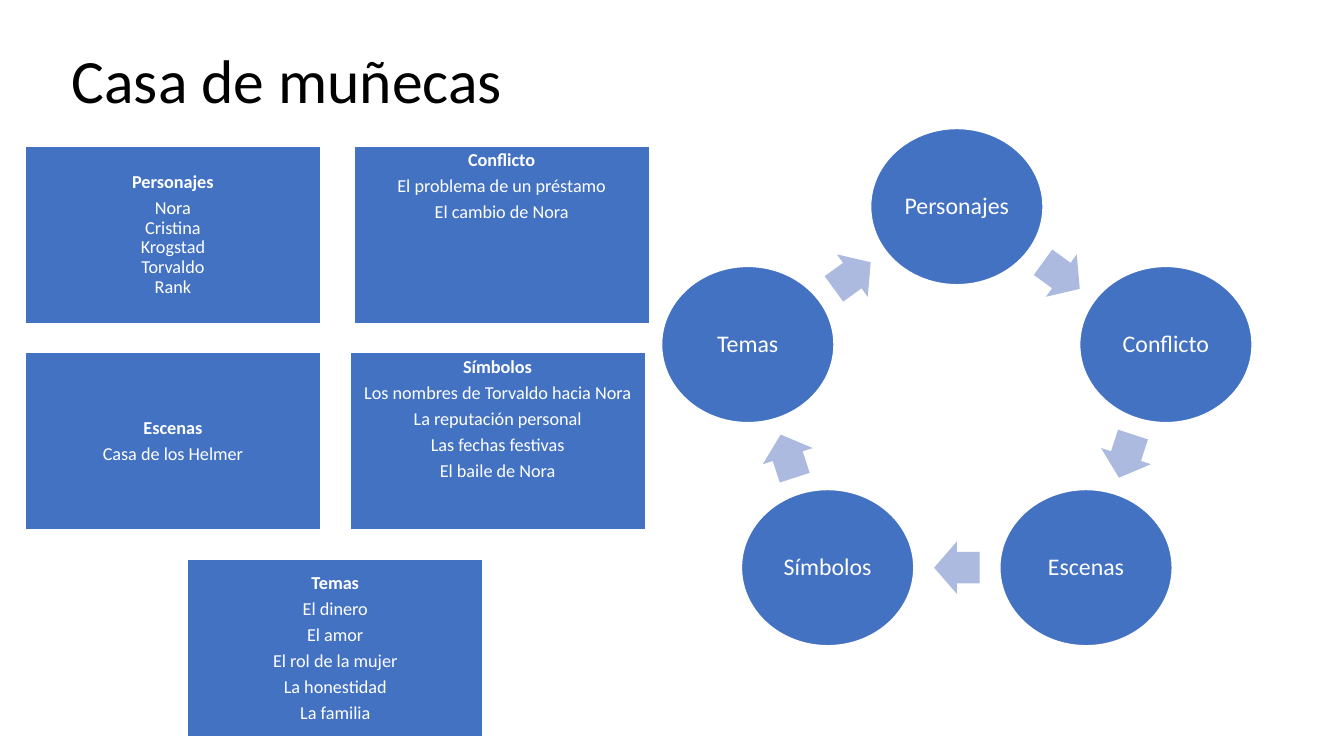
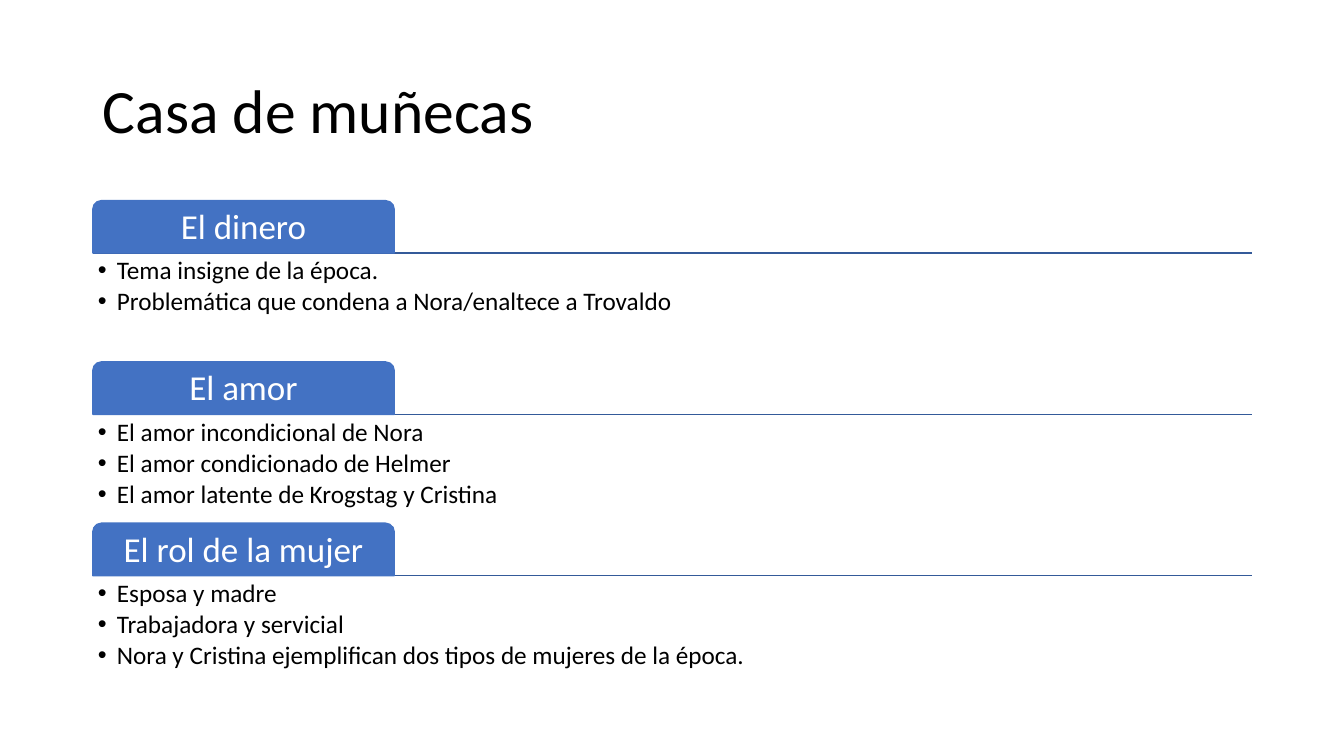
from copy import deepcopy
from math import cos, radians, sin

from lxml import etree
from pptx import Presentation
from pptx.dml.color import RGBColor
from pptx.enum import shapes, text
from pptx.oxml.ns import qn
from pptx.util import Inches, Pt

HUES = {"blue": "4372C3", "pale": "ABBADE", "rule": "345A99",
        "white": "FFFFFF", "black": "000000"}
HUES = {name: RGBColor.from_string(code) for name, code in HUES.items()}
KIND = shapes.MSO_SHAPE
MID, TOP = text.MSO_ANCHOR.MIDDLE, text.MSO_ANCHOR.TOP
LEFT, MIDST = text.PP_ALIGN.LEFT, text.PP_ALIGN.CENTER


def write(shape, lines, size, hue="white", align=MIDST, anchor=MID,
          inset=0.05, gap=0, head=False):
    """Fill a shape with one paragraph per line; head makes the first bold."""
    frame = shape.text_frame
    form = {"word_wrap": True, "auto_size": text.MSO_AUTO_SIZE.NONE,
            "vertical_anchor": anchor}
    for side in ("left", "top", "right", "bottom"):
        form["margin_" + side] = Inches(inset)
    for key, value in form.items():
        setattr(frame, key, value)
    for i, line in enumerate(lines):
        para = frame.add_paragraph() if i else frame.paragraphs[0]
        para.text = line
        para.alignment, para.line_spacing = align, 0.9
        para.space_before = Pt(gap if i else 0)
        for run in para.runs:
            font = run.font
            font.name, font.size = "Calibri", Pt(size)
            font.bold = head and i == 0
            font.color.rgb = HUES[hue]
        for rest in para._p.findall(qn("a:br")):
            rest.append(deepcopy(para.runs[0]._r.rPr))


def draw(slide, kind, left, top, width, height, fill="blue", line="white"):
    shape = slide.shapes.add_shape(kind, Inches(left), Inches(top),
                                   Inches(width), Inches(height))
    shape.shadow.inherit = False
    shape.fill.solid()
    shape.fill.fore_color.rgb = HUES[fill]
    if line:
        shape.line.color.rgb = HUES[line]
        shape.line.width = Pt(1)
    else:
        shape.line.fill.background()
    return shape


deck = Presentation()
deck.slide_width, deck.slide_height = Inches(13.33), Inches(7.5)
pages = []
for left, top in ((0.61, 0.1), (0.92, 0.4)):
    page = deck.slides.add_slide(deck.slide_layouts[5])
    title = page.shapes.title
    place = {"left": left, "top": top, "width": 11.5, "height": 1.45}
    for key, value in place.items():
        setattr(title, key, Inches(value))
    write(title, ["Casa de muñecas"], 44, "black", LEFT, inset=0.1)
    pages.append(page)
play, themes = pages

# Cycle of five elements, clockwise from the top
steps = ["Personajes", "Conflicto", "Escenas", "Símbolos", "Temas"]
turn = 360 / len(steps)
wide, high = 1.71, 1.55
spots = [(9.49 + 2.18 * sin(radians(turn * i)),
          4.03 - 1.98 * cos(radians(turn * i))) for i in range(len(steps))]
for i, (step, (x, y)) in enumerate(zip(steps, spots)):
    disc = draw(play, KIND.OVAL, x - wide / 2, y - high / 2, wide, high)
    write(disc, [step], 17, inset=0)
    nextx, nexty = spots[(i + 1) % len(spots)]
    arrow = draw(play, KIND.RIGHT_ARROW, (x + nextx - 0.45) / 2,
                 (y + nexty - 0.52) / 2, 0.45, 0.52, "pale", None)
    arrow.adjustments[0] = 0.6
    arrow.rotation = turn * (i + 0.5)

# Detail boxes: left, row, anchor, lines
boxes = [
    (0.25, 0, MID, ["Personajes", "Nora\nCristina\nKrogstad\nTorvaldo\nRank"]),
    (3.51, 0, TOP, ["Conflicto", "El problema de un préstamo",
                    "El cambio de Nora"]),
    (0.25, 1, MID, ["Escenas", "Casa de los Helmer"]),
    (3.47, 1, TOP, ["Símbolos", "Los nombres de Torvaldo hacia Nora",
                    "La reputación personal", "Las fechas festivas",
                    "El baile de Nora"]),
    (1.86, 2, MID, ["Temas", "El dinero", "El amor", "El rol de la mujer",
                    "La honestidad", "La familia"]),
]
for left, row, anchor, lines in boxes:
    box = draw(play, KIND.RECTANGLE, left, 1.45 + 2.05 * row, 2.93, 1.76)
    write(box, lines, 13, anchor=anchor, gap=4.5, head=True)

# Tabbed list of themes
topics = {
    "El dinero": ["Tema insigne de la época.",
                  "Problemática que condena a Nora/enaltece a Trovaldo"],
    "El amor": ["El amor incondicional de Nora",
                "El amor condicionado de Helmer",
                "El amor latente de Krogstag y Cristina"],
    "El rol de la mujer": [
        "Esposa y madre", "Trabajadora y servicial",
        "Nora y Cristina ejemplifican dos tipos de mujeres de la época."],
}
left, width, tall = 0.92, 11.5, 0.52
for i, (topic, points) in enumerate(topics.items()):
    top = 1.99 + 1.6 * i
    base = Inches(top + tall)
    rule = themes.shapes.add_connector(
        shapes.MSO_CONNECTOR.STRAIGHT, Inches(left), base,
        Inches(left + width), base)
    rule.line.color.rgb = HUES["rule"]
    rule.line.width = Pt(1)
    etree.SubElement(rule._element.spPr, qn("a:effectLst"))

    tab = draw(themes, KIND.ROUND_2_SAME_RECTANGLE, left, top, 2.99, tall,
               line="blue")
    tab.adjustments[0] = 0.167
    write(tab, [topic], 25)

    body = themes.shapes.add_textbox(Inches(left), base,
                                     Inches(width), Inches(1.05))
    write(body, points, 18, "black", LEFT, TOP, gap=2.7)
    for para in body.text_frame.paragraphs:
        props = para._p.get_or_add_pPr()
        props.set("marL", str(Inches(0.19)))
        props.set("indent", str(-Inches(0.19)))
        etree.SubElement(props, qn("a:buFont"), typeface="Arial")
        etree.SubElement(props, qn("a:buChar"), char="•")

deck.save("out.pptx")
